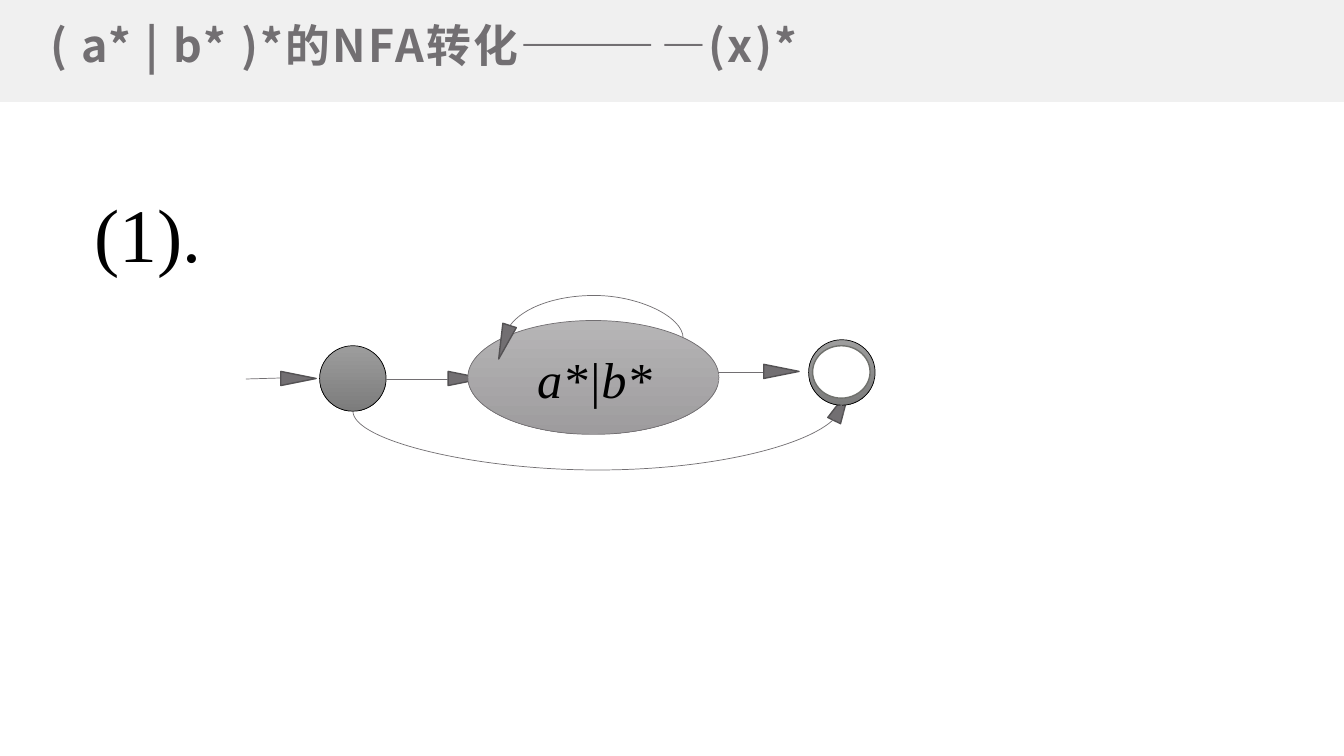
from lxml import etree
from pptx import Presentation
from pptx.dml.color import RGBColor
from pptx.enum.shapes import MSO_CONNECTOR as CONNECTOR, MSO_SHAPE as SHAPE
from pptx.enum.text import MSO_ANCHOR as ANCHOR, MSO_AUTO_SIZE as AUTO_SIZE, PP_ALIGN as ALIGN
from pptx.oxml.ns import qn
from pptx.util import Inches, Pt

GRAY = "726F72"
STATE_GRADIENT = ("9D9D9D", "7C7C7C")
LOOP_GRADIENT = ("B6B5B6", "9E9C9E")


def color(hex_string):
    return RGBColor.from_string(hex_string)


def write_text(frame, text, font="Times New Roman", size=36, fill="000000",
               bold=False, italic=False, spacing=None):
    frame.word_wrap = True
    paragraph = frame.paragraphs[0]
    paragraph.alignment = ALIGN.LEFT
    run = paragraph.add_run()
    run.text = text
    run.font.name = font
    run.font.size = Pt(size)
    run.font.bold = bold
    run.font.italic = italic
    run.font.color.rgb = color(fill)
    properties = run.font._element
    etree.SubElement(properties, qn("a:ea")).set("typeface", font)
    if spacing:
        properties.set("spc", str(round(spacing * 100)))


def add_label(slide, left, top, width, height, text, **text_format):
    box = slide.shapes.add_textbox(*map(Inches, (left, top, width, height)))
    write_text(box.text_frame, text, **text_format)


def add_title(slide, text):
    title = slide.shapes.title
    title.left, title.top, title.width, title.height = map(Inches, (0.43, 0.11, 12.33, 0.67))
    frame = title.text_frame
    frame.auto_size = AUTO_SIZE.NONE
    frame.vertical_anchor = ANCHOR.MIDDLE
    frame.margin_left = frame.margin_right = Inches(0.07)
    frame.margin_top = frame.margin_bottom = Inches(0.03)
    write_text(frame, text, font="Noto Sans CJK SC", size=32, fill=GRAY, bold=True, spacing=1.6)
    slide.shapes._spTree.append(title._element)


def add_shape(slide, kind, left, top, width, height, fill, line=None, line_width=0.5, rotation=0):
    shape = slide.shapes.add_shape(kind, *map(Inches, (left, top, width, height)))
    shape.shadow.inherit = False
    shape.rotation = rotation
    if isinstance(fill, tuple):
        shape.fill.gradient()
        shape.fill.gradient_angle = 270
        for stop, stop_color in zip(shape.fill.gradient_stops, fill):
            stop.color.rgb = color(stop_color)
    else:
        shape.fill.solid()
        shape.fill.fore_color.rgb = color(fill)
    if line:
        shape.line.color.rgb = color(line)
        shape.line.width = Pt(line_width)
    else:
        shape.line.fill.background()


def add_state(slide, left, top):
    add_shape(slide, SHAPE.OVAL, left, top, 0.66, 0.65, STATE_GRADIENT, "000000")


def add_arrowhead(slide, left, top, rotation=90):
    add_shape(slide, SHAPE.ISOSCELES_TRIANGLE, left, top, 0.14, 0.35, GRAY, "545254", 1, rotation)


def add_line(slide, begin, end, kind=CONNECTOR.STRAIGHT):
    connector = slide.shapes.add_connector(kind, *map(Inches, begin + end))
    connector.line.color.rgb = color(GRAY)
    connector.line.width = Pt(0.5)
    etree.SubElement(connector._element.spPr, qn("a:effectLst"))
    return connector


def add_curve(slide, begin, end, rotation, bend):
    connector = add_line(slide, begin, end, CONNECTOR.CURVE)
    properties = connector._element.spPr
    properties.find(qn("a:xfrm")).set("rot", str(rotation * 60000))
    adjustments = properties.find(qn("a:prstGeom")).find(qn("a:avLst"))
    guide = etree.SubElement(adjustments, qn("a:gd"))
    guide.set("name", "adj1")
    guide.set("fmla", f"val {round(bend * 100000)}")
    etree.SubElement(properties.find(qn("a:ln")), qn("a:tailEnd")).set("type", "arrow")


def main():
    presentation = Presentation()
    presentation.slide_width = Inches(13.33)
    presentation.slide_height = Inches(7.5)
    slide = presentation.slides.add_slide(presentation.slide_layouts[5])

    add_shape(slide, SHAPE.RECTANGLE, 0, 0, 13.33, 1.01, "F0F0F0")
    add_title(slide, "( a* | b* )*的NFA转化————(x)*")

    add_state(slide, 3.17, 3.43)
    add_line(slide, (2.44, 3.76), (2.78, 3.75))
    for left, top in ((2.89, 3.58), (4.55, 3.58), (7.68, 3.51)):
        add_arrowhead(slide, left, top)
    add_line(slide, (6.05, 3.69), (7.57, 3.69))
    add_arrowhead(slide, 8.28, 3.84, 26)
    add_state(slide, 8.02, 3.37)

    add_shape(slide, SHAPE.OVAL, 4.64, 3.18, 2.49, 1.13, LOOP_GRADIENT, GRAY)
    add_label(slide, 5.23, 3.4, 2.87, 0.71, "a*|b*", italic=True)
    add_line(slide, (3.83, 3.76), (4.44, 3.76))
    add_curve(slide, (5.89, 4.23), (5.9, 2.47), 270, 43)
    add_arrowhead(slide, 4.93, 3.22, 198)
    add_curve(slide, (5.96, 6.47), (5.89, 1.62), 90, -8.33)

    add_label(slide, 0.84, 1.8, 3.17, 1.01, "(1).", size=54)
    add_shape(slide, SHAPE.OVAL, 8.06, 3.43, 0.57, 0.52, "FFFFFF", "70716D", 1)
    presentation.save("out.pptx")


if __name__ == "__main__":
    main()
